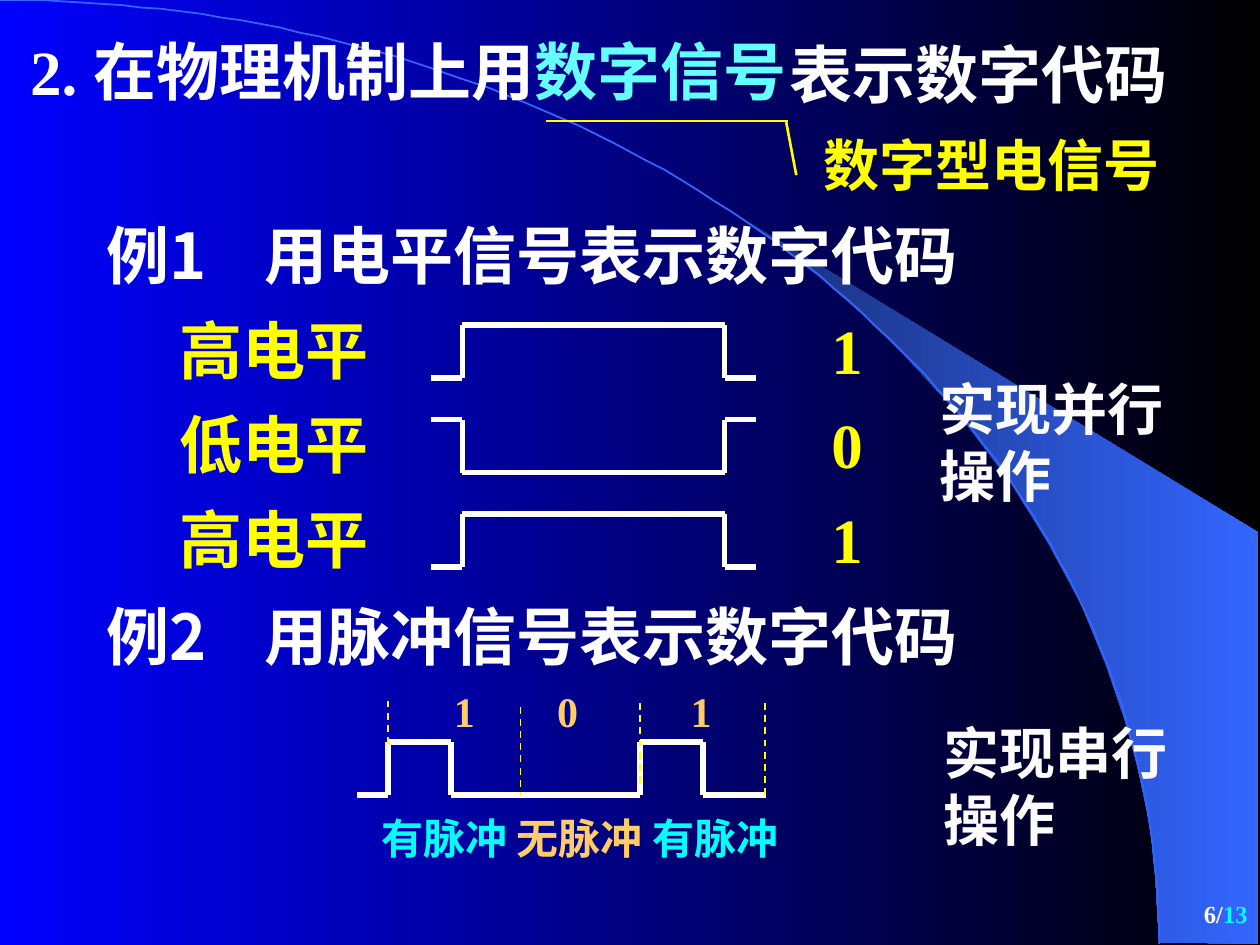
from dataclasses import dataclass
from math import cos, pi, sin

from lxml import etree
from pptx import Presentation
from pptx.dml.color import RGBColor
from pptx.enum.dml import MSO_LINE
from pptx.enum.text import MSO_ANCHOR, MSO_AUTO_SIZE, PP_ALIGN
from pptx.oxml.ns import qn
from pptx.util import Pt

PX = 9144  # EMU per px, 100 px to the inch
LEFT, CENTER, RIGHT = PP_ALIGN.LEFT, PP_ALIGN.CENTER, PP_ALIGN.RIGHT
TOP, MIDDLE = MSO_ANCHOR.TOP, MSO_ANCHOR.MIDDLE
DASH = MSO_LINE.DASH
FIT_SHAPE, NO_FIT = MSO_AUTO_SIZE.SHAPE_TO_FIT_TEXT, MSO_AUTO_SIZE.NONE


@dataclass(frozen=True)
class Theme:
    white: str = "FFFFFF"
    soft_white: str = "FDFBFB"
    yellow: str = "FFFF00"
    cyan: str = "00FFFF"
    pale_cyan: str = "66FFFF"
    orange: str = "FFCC66"
    arc: str = "3366FF"
    background: tuple = ("0000FF", "000000")
    beam: tuple = ("182F76", "3366FF")
    latin: str = "Times New Roman"
    chinese: str = "Noto Sans CJK SC"
    heading: int = 36
    note: int = 32
    label: int = 24
    footer: int = 14


def color(value):
    return RGBColor.from_string(value)


def set_gradient(fill, colors):
    fill.gradient()
    fill.gradient_angle = 0
    for stop, value, position in zip(fill.gradient_stops, colors, (0, 1)):
        stop.color.rgb = color(value)
        stop.position = position


class SlideWriter:
    def __init__(self, page, theme):
        self.page = page
        self.theme = theme

    def text(self, place, *spans, size, font=None, align=LEFT, anchor=TOP, fit=FIT_SHAPE, tab=None):
        """Add one paragraph of (text, color) spans; tab is a stop in px."""
        box = self.page.shapes.add_textbox(*(n * PX for n in place))
        frame = box.text_frame
        frame.word_wrap = True
        frame.auto_size = fit
        frame.vertical_anchor = anchor
        para = frame.paragraphs[0]
        para.alignment = align
        if tab:
            stops = etree.SubElement(para._p.get_or_add_pPr(), qn("a:tabLst"))
            etree.SubElement(stops, qn("a:tab"), pos=str(tab * PX), algn="l")
        for words, value in spans:
            span = para.add_run()
            span.text = words
            span.font.size = Pt(size)
            span.font.bold = True
            span.font.color.rgb = color(value)
            span.font.name = font or self.theme.latin
            etree.SubElement(span._r.get_or_add_rPr(), qn("a:ea"), typeface=self.theme.chinese)

    def line(self, start, end, value, width, dash=None):
        connector = self.page.shapes.add_connector(1, *(n * PX for n in (*start, *end)))
        connector.line.color.rgb = color(value)
        connector.line.width = Pt(width)
        if dash:
            connector.line.dash_style = dash
        etree.SubElement(connector._element.spPr, qn("a:effectLst"))

    def trace(self, points):
        """Draw a square-cornered signal through the points."""
        for start, end in zip(points, points[1:]):
            self.line(start, end, self.theme.white, 3)

    def outline(self, points, closed):
        builder = self.page.shapes.build_freeform(*points[0], scale=PX)
        builder.add_line_segments(points[1:], close=closed)
        shape = builder.convert_to_shape()
        shape.shadow.inherit = False
        return shape


def draw_backdrop(writer):
    theme = writer.theme
    set_gradient(writer.page.background.fill, theme.background)
    beam = writer.outline([
        (920, 748), (999, 749), (999, 423), (589, 173), (624, 199), (653, 222),
        (685, 250), (716, 280), (762, 330), (803, 384), (832, 431), (858, 479),
        (878, 528), (893, 572), (903, 609), (913, 656), (917, 696)], closed=True)
    set_gradient(beam.fill, theme.beam)
    beam.line.fill.background()

    steps = 90
    angles = [pi / 2 * step / steps for step in range(steps + 1)]
    arc = writer.outline(
        [(round(920 * sin(a), 2), round(749 * (1 - cos(a)), 2)) for a in angles], closed=False)
    arc.fill.background()
    arc.line.color.rgb = color(theme.arc)
    arc.line.width = Pt(1)


def draw_headings(writer):
    theme = writer.theme
    writer.text((792, 700, 208, 50), ("6/", theme.white), ("13", theme.cyan),
                size=theme.footer, align=RIGHT, anchor=MIDDLE, fit=NO_FIT)
    writer.text((617, 23, 374, 77), ("表示数字代码", theme.white),
                size=theme.heading, font=theme.chinese)
    writer.text((14, 21, 778, 77), ("2. 在物理机制上用", theme.white),
                ("数字信号", theme.pale_cyan), size=theme.heading)
    writer.line((433, 96), (625, 96), theme.yellow, 1.5)
    writer.line((624, 97), (632, 139), theme.yellow, 1.5)
    writer.text((644, 99, 356, 64), ("数字型电信号", theme.yellow), size=theme.note)
    for top, title in ((167, "例1\t用电平信号表示数字代码"), (469, "例2\t用脉冲信号表示数字代码")):
        writer.text((75, top, 783, 70), (title, theme.white),
                    size=theme.heading, font=theme.chinese, tab=125)
    for left, top, note in ((736, 292, "实现并行操作"), (739, 565, "实现串行操作")):
        writer.text((left, top, 233, 117), (note, theme.soft_white), size=theme.note)


def draw_levels(writer):
    theme = writer.theme
    for row, (name, bit) in enumerate((("高电平", "1"), ("低电平", "0"), ("高电平", "1"))):
        top = 242 + 75 * row
        writer.text((133, top, 258, 70), (name, theme.yellow),
                    size=theme.heading, font=theme.chinese)
        writer.text((650, top, 133, 70), (bit, theme.yellow), size=theme.heading)
        high, low = top + 16, top + 58
        rest, active = (low, high) if bit == "1" else (high, low)
        writer.trace([(342, rest), (367, rest), (367, active),
                      (575, active), (575, rest), (600, rest)])


def draw_pulses(writer):
    theme = writer.theme
    high, low = 589, 631
    writer.trace([(283, low), (308, low), (308, high), (358, high), (358, low),
                  (508, low), (508, high), (558, high), (558, low), (608, low)])
    for x, top, bottom in ((308, 556, 592), (413, 561, 632), (508, 558, 624), (607, 558, 632)):
        writer.line((x, top), (x, bottom), theme.yellow, 1, dash=DASH)
    for bit, bit_left, name_left in (("1", 331, 293), ("0", 413, 400), ("1", 519, 508)):
        name, value = ("有脉冲", theme.cyan) if bit == "1" else ("无脉冲", theme.orange)
        writer.text((bit_left, 539, 75, 50), (bit, theme.orange), size=theme.label, align=CENTER)
        writer.text((name_left, 640, 158, 50), (name, value), size=theme.label)


def main():
    deck = Presentation()
    deck.slide_width, deck.slide_height = 1000 * PX, 750 * PX
    writer = SlideWriter(deck.slides.add_slide(deck.slide_layouts[6]), Theme())
    draw_backdrop(writer)
    draw_headings(writer)
    draw_levels(writer)
    draw_pulses(writer)
    deck.save("out.pptx")


if __name__ == "__main__":
    main()
